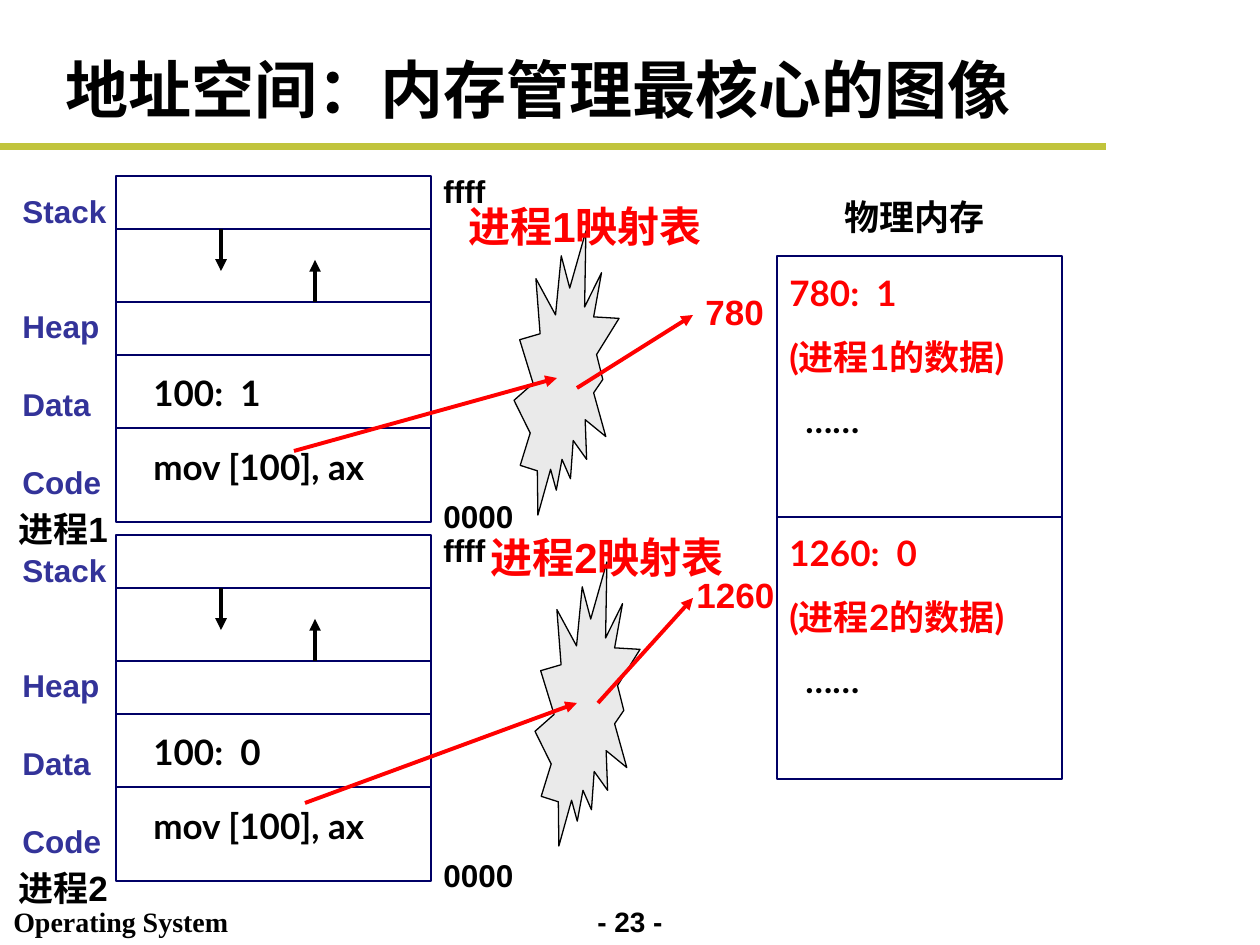
"""Build the slide on address spaces and per-process mapping tables."""
from lxml.etree import SubElement
from pptx import Presentation
from pptx.dml.color import RGBColor
from pptx.enum.shapes import MSO_AUTO_SHAPE_TYPE as Preset, MSO_CONNECTOR as Connector
from pptx.enum.text import MSO_ANCHOR as Anchor, MSO_AUTO_SIZE as AutoSize, PP_ALIGN as Align
from pptx.oxml.ns import qn
from pptx.util import Emu, Pt

PX = 914400 / 126
BLACK, RED, NAVY, LABEL_BLUE = "000000", "FF0000", "000066", "333399"
hex_color = RGBColor.from_string

deck = Presentation()
deck.slide_width, deck.slide_height = Emu(round(1260 * PX)), Emu(round(945 * PX))
slide = deck.slides.add_slide(deck.slide_layouts[5])


def add_text(lines, box, size=20, color=BLACK, font="Arial", before=0, wrap=False, holder=None):
    holder = holder or slide.shapes.add_textbox(0, 0, 0, 0)
    for side, length in zip(("left", "top", "width", "height"), box):
        setattr(holder, side, Emu(round(length * PX)))
    frame = holder.text_frame
    frame.text = "\n".join(lines)
    frame.word_wrap, frame.auto_size = wrap, AutoSize.NONE
    for paragraph in frame.paragraphs:
        paragraph.alignment, paragraph.space_before = Align.LEFT, Pt(before)
        for name, value in {"size": Pt(size), "name": font, "bold": True}.items():
            setattr(paragraph.runs[0].font, name, value)
        paragraph.runs[0].font.color.rgb = hex_color(color)
    return frame


def add_line(ends, color, width=2.25, arrow=True):
    line = slide.shapes.add_connector(
        Connector.STRAIGHT, *(Emu(round(length * PX)) for length in ends))
    line.line.color.rgb, line.line.width = hex_color(color), Pt(width)
    if arrow:
        SubElement(line.line._get_or_add_ln(), qn("a:tailEnd"), type="triangle")
    SubElement(line._element.spPr, qn("a:effectLst"))


page_number = add_text(["- 23 -"], (567, 898, 126, 47), 16, before=10)
page_number.paragraphs[0].alignment = Align.CENTER
add_text(["Operating System"], (1, 898, 239, 47), 16, font="Times New Roman", before=10)
add_line((0, 147, 1106, 147), "C1C43C", 4, arrow=False)
heading = add_text(["地址空间：内存管理最核心的图像"], (53, 42, 1081, 93), 36,
                   wrap=True, holder=slide.shapes.title)
heading.vertical_anchor = Anchor.MIDDLE

memory_rows = [(176, 63), (302, 53), (355, 73), (428, 94), (229, 73)]
panels = []
for process_top, seal_left, seal_top, block_top in ((0, 514, 231, 256), (359, 535, 562, 517)):
    panels.append((Preset.RECTANGLE, (777, block_top, 285, 262), "FFFFFF", NAVY))
    panels += [(Preset.RECTANGLE, (116, process_top + top, 315, height), "FFFFFF", NAVY)
               for top, height in memory_rows]
    panels.append((Preset.EXPLOSION2, (seal_left, seal_top, 105, 284), "EAEAEA", BLACK))
for preset, box, fill, outline in panels:
    panel = slide.shapes.add_shape(preset, *(Emu(round(length * PX)) for length in box))
    panel.shadow.inherit = False
    panel.fill.solid()
    panel.fill.fore_color.rgb = hex_color(fill)
    panel.line.color.rgb, panel.line.width = hex_color(outline), Pt(0.75)

add_text(["物理内存"], (832, 189, 165, 55))

processes = [
    {"number": 1, "top": 0, "value": 1, "address": "780", "address_box": (693, 284, 83, 55),
     "block_top": 265, "map_box": (456, 194, 278, 63),
     "lookup": (294, 451, 557, 378), "result": (577, 388, 693, 315)},
    {"number": 2, "top": 359, "value": 0, "address": "1260", "address_box": (684, 567, 103, 55),
     "block_top": 525, "map_box": (478, 525, 278, 63),
     "lookup": (305, 803, 577, 703), "result": (598, 703, 693, 598)},
]
for process in processes:
    number, top, value = process["number"], process["top"], process["value"]

    segments = add_text(["Stack", "Heap", "Data", "Code"], (10, top + 186, 126, 315),
                        18, LABEL_BLUE, wrap=True)
    for segment, gap in zip(segments.paragraphs, (0, 44, 23, 23)):
        segment.space_before = Pt(gap)
    add_text([f"进程{number}"], (6, top + 501, 123, 55))
    add_text([f"100:  {value}"], (141, top + 365, 289, 55), font="Lato", before=7.5, wrap=True)
    add_text(["mov [100], ax"], (141, top + 439, 289, 55), font="Lato", before=7.5, wrap=True)
    add_text(["ffff"], (431, top + 166, 67, 50), 18)
    add_text(["0000"], (431, top + 491, 95, 50), 18)
    add_line((221, top + 229, 221, top + 271), BLACK)
    add_line((315, top + 302, 315, top + 260), BLACK)

    stored = add_text([f"{process['address']}:  {value}", f"(进程{number}的数据)", "……"],
                      (777, process["block_top"], 262, 224), 20, RED, "Lato", 12.5, wrap=True)
    remainder = stored.paragraphs[2]
    remainder.runs[0].font.color.rgb = hex_color(BLACK)
    remainder._p.get_or_add_pPr().set("marL", str(round(16 * PX)))

    add_text([f"进程{number}映射表"], process["map_box"], 24, RED)
    add_text([process["address"]], process["address_box"], 20, RED)
    add_line(process["lookup"], RED)
    add_line(process["result"], RED)

deck.save("out.pptx")
